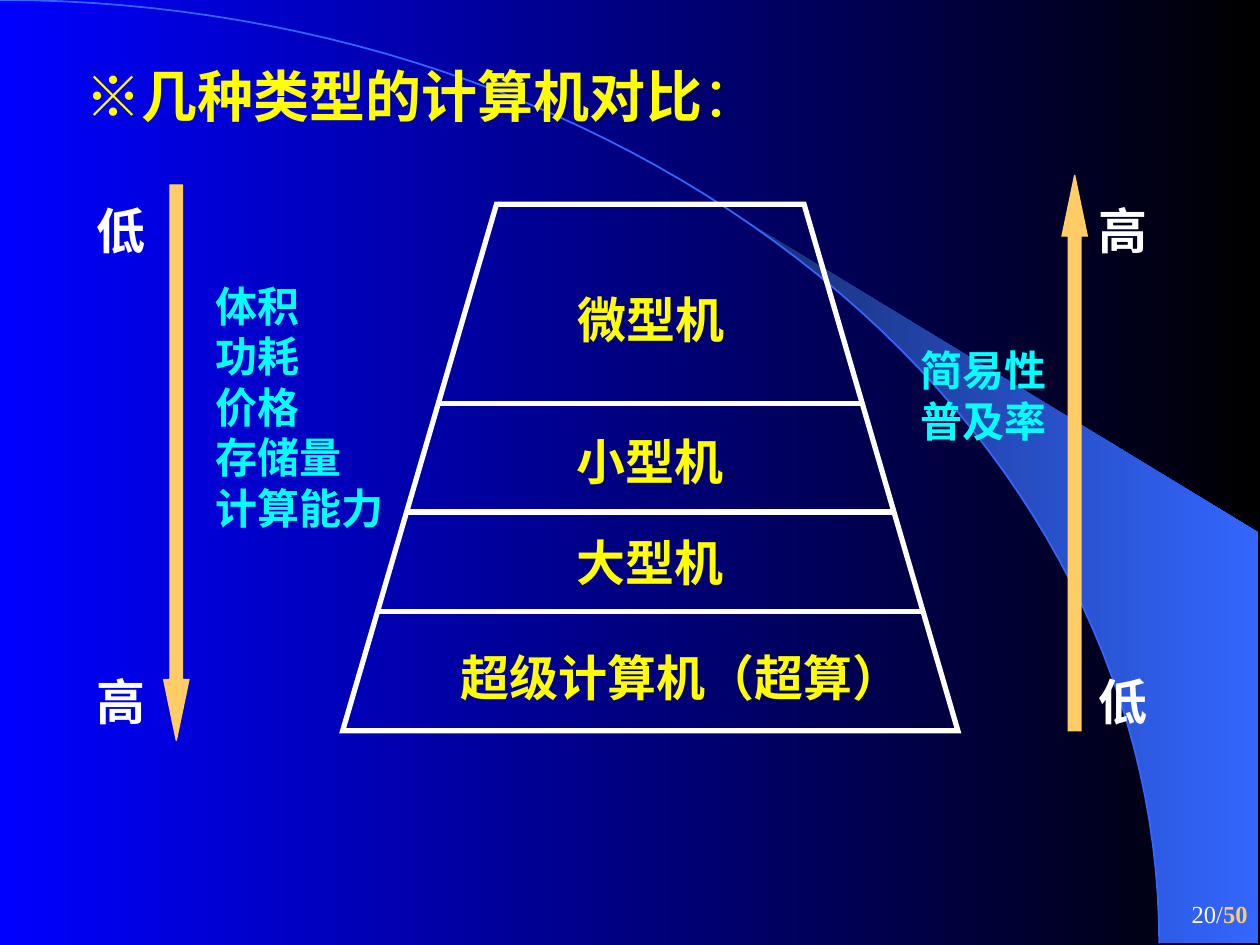
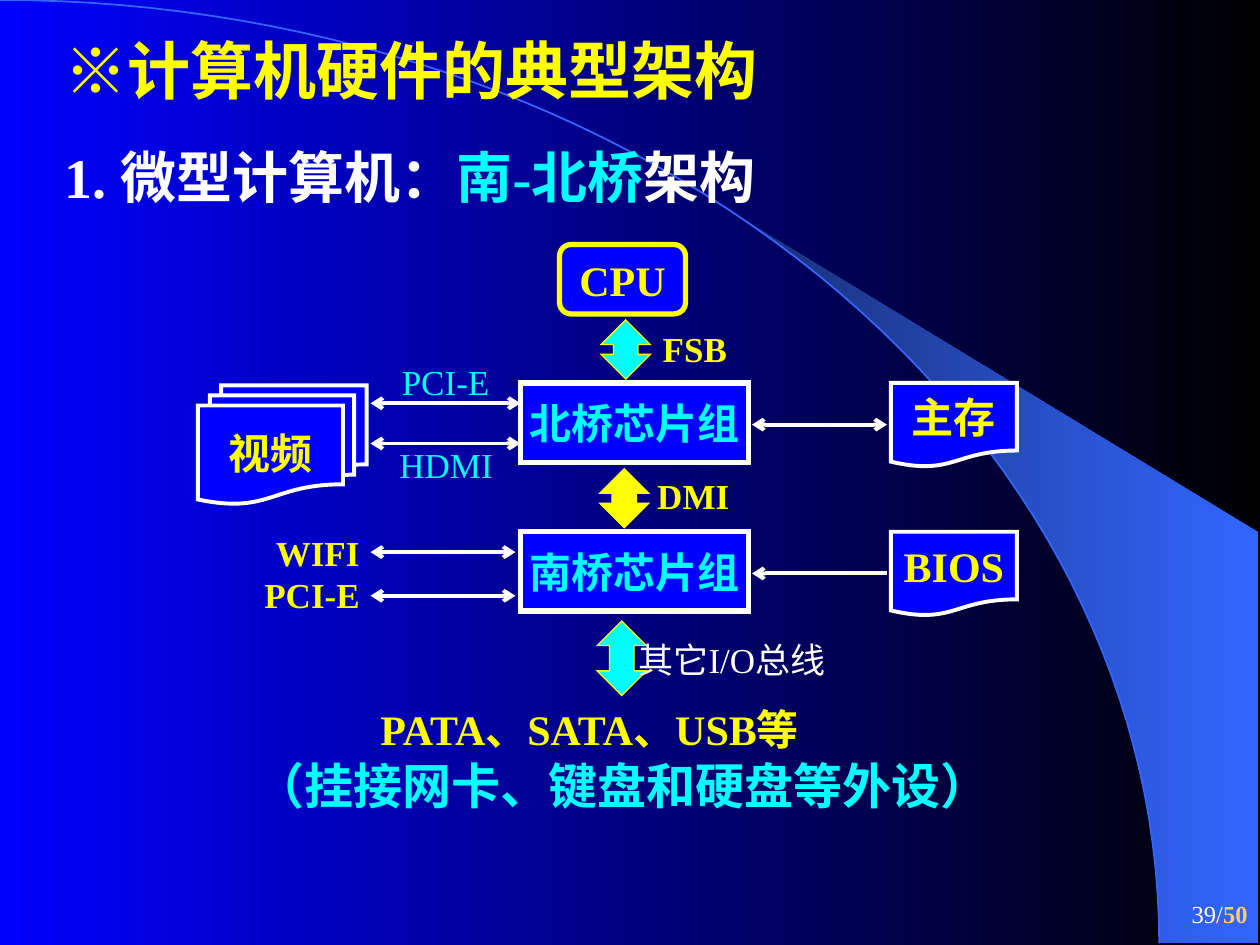
"""Build two slides on computer types and typical hardware architecture."""
from dataclasses import dataclass
from math import asin, cos, pi, sin

from lxml import etree
from pptx import Presentation
from pptx.dml.color import RGBColor
from pptx.enum.shapes import MSO_CONNECTOR, MSO_SHAPE
from pptx.enum.text import MSO_ANCHOR, MSO_AUTO_SIZE, PP_ALIGN
from pptx.oxml.ns import qn
from pptx.util import Cm, Pt

STRAIGHT = MSO_CONNECTOR.STRAIGHT
TRAPEZOID, RECT = MSO_SHAPE.TRAPEZOID, MSO_SHAPE.RECTANGLE
UP, DOWN, UP_DOWN = MSO_SHAPE.UP_ARROW, MSO_SHAPE.DOWN_ARROW, MSO_SHAPE.UP_DOWN_ARROW
ROUNDED = MSO_SHAPE.FLOWCHART_ALTERNATE_PROCESS
DOCUMENT, DOCUMENTS = MSO_SHAPE.FLOWCHART_DOCUMENT, MSO_SHAPE.FLOWCHART_MULTIDOCUMENT
LEFT, CENTER, RIGHT = PP_ALIGN.LEFT, PP_ALIGN.CENTER, PP_ALIGN.RIGHT
TOP, MIDDLE = MSO_ANCHOR.TOP, MSO_ANCHOR.MIDDLE
NO_FIT = MSO_AUTO_SIZE.NONE
TITLE_ONLY, TITLE_AND_BODY = 5, 1


@dataclass(frozen=True)
class Theme:
    """Colours, fonts and type sizes of the deck."""

    blue: str = "0000FF"
    black: str = "000000"
    band_dark: str = "182F76"
    band: str = "3366FF"
    white: str = "FFFFFF"
    yellow: str = "FFFF00"
    cyan: str = "00FFFF"
    orange: str = "FFCC66"
    latin: str = "Times New Roman"
    cjk: str = "Noto Sans CJK SC"
    headline: int = 36
    title: int = 32
    label: int = 28
    block: int = 24
    bus: int = 20
    footer: int = 14
    pitch: float = 1.2


T = Theme()
WIDTH, HEIGHT = 25.4, 19.05
ARC_W, ARC_H = 23.37, 19.02


def rgb(color):
    """Return a colour object for a hex string."""
    return RGBColor.from_string(color)


def set_all(obj, values):
    """Set each attribute named in a dict."""
    for name, value in values.items():
        setattr(obj, name, value)


def run(text, size, color, bold=True, font=T.latin):
    """Describe a run as its text, colour and font values."""
    return text, color, {"size": Pt(size), "bold": bold, "name": font}


def write(tf, paragraphs, align=LEFT, pitch=None):
    """Fill a text frame with paragraphs of described runs."""
    for i, runs in enumerate(paragraphs):
        p = tf.paragraphs[0] if i == 0 else tf.add_paragraph()
        pPr = p._p.get_or_add_pPr()
        set_all(pPr, {"marL": 0, "indent": 0})
        etree.SubElement(pPr, qn("a:buNone"))
        set_all(p, {"alignment": align, "space_before": Pt(0)})
        if pitch:
            p.line_spacing = Pt(round(runs[0][2]["size"].pt * pitch, 1))
        for text, color, values in runs:
            r = p.add_run()
            r.text = text
            set_all(r.font, values)
            r.font.color.rgb = rgb(color)
            etree.SubElement(r._r.get_or_add_rPr(), qn("a:ea"), typeface=T.cjk)


def add_text(slide, box, paragraphs, align=LEFT, pitch=None, anchor=TOP):
    """Add a text box at a box given in centimetres."""
    tf = slide.shapes.add_textbox(*map(Cm, box)).text_frame
    set_all(tf, {"word_wrap": True, "vertical_anchor": anchor})
    write(tf, paragraphs, align, pitch)


def fill_placeholder(sp, box, runs):
    """Move a placeholder and write one line into it."""
    set_all(sp, dict(zip(("left", "top", "width", "height"), map(Cm, box))))
    set_all(sp.text_frame, {"auto_size": NO_FIT, "vertical_anchor": TOP, "word_wrap": True})
    write(sp.text_frame, [runs], pitch=T.pitch)


def paint(sp, fill, line, width):
    """Give a shape its fill and a sharp-cornered line without a shadow."""
    sp.shadow.inherit = False
    if fill:
        sp.fill.solid()
        sp.fill.fore_color.rgb = rgb(fill)
    else:
        sp.fill.background()
    sp.line.color.rgb = rgb(line)
    sp.line.width = Pt(width)
    etree.SubElement(sp.line._get_or_add_ln(), qn("a:miter"), lim="800000")


def add_preset(slide, kind, box, fill, line, width, adjust=()):
    """Add a painted preset shape with its adjustments."""
    sp = slide.shapes.add_shape(kind, *map(Cm, box))
    for i, value in enumerate(adjust):
        sp.adjustments[i] = value
    paint(sp, fill, line, width)
    return sp


def add_block(slide, kind, box, text, color, line, width):
    """Add a blue diagram block with a centred label."""
    sp = add_preset(slide, kind, box, T.blue, line, width)
    set_all(sp.text_frame, {"word_wrap": False, "vertical_anchor": MIDDLE})
    write(sp.text_frame, [[run(text, T.block, color)]], CENTER)


def add_line(slide, x1, x2, y, width, ends=()):
    """Add a white horizontal line with open arrowheads at the named ends."""
    cxn = slide.shapes.add_connector(STRAIGHT, Cm(x1), Cm(y), Cm(x2), Cm(y))
    cxn.line.color.rgb = rgb(T.white)
    cxn.line.width = Pt(width)
    ln = cxn.line._get_or_add_ln()
    for end in ends:
        etree.SubElement(ln, qn(f"a:{end}"), type="arrow")
    etree.SubElement(cxn._element.spPr, qn("a:effectLst"))


def set_gradient(fill, start, end):
    """Make a left-to-right gradient of two colours."""
    fill.gradient()
    fill.gradient_angle = 0
    for stop, color in zip(fill.gradient_stops, (start, end)):
        stop.color.rgb = rgb(color)


def arc_points(start, steps):
    """Return points on the quarter ellipse from an angle to its lower end."""
    angles = [start + (pi / 2 - start) * i / steps for i in range(steps + 1)]
    return [(Cm(ARC_W * sin(a)), Cm(ARC_H * (1 - cos(a)))) for a in angles]


def add_outline(slide, points, close):
    """Add a freeform through the points."""
    builder = slide.shapes.build_freeform(*points[0])
    builder.add_line_segments(points[1:], close=close)
    return builder.convert_to_shape()


def decorate_master(prs, slide):
    """Put the gradient, the band and the arc on the slide master."""
    master = prs.slide_master
    set_gradient(master.background.fill, T.blue, T.black)
    corner = [(Cm(25.37), Cm(ARC_H)), (Cm(25.37), Cm(10.74))]
    band = add_outline(slide, arc_points(asin(0.64), 30) + corner, True)
    band.shadow.inherit = False
    set_gradient(band.fill, T.band_dark, T.band)
    band.line.fill.background()
    arc = add_outline(slide, arc_points(0, 60), False)
    paint(arc, None, T.band, 1)
    for i, sp in enumerate((band, arc)):
        sp.element.nvSpPr.cNvPr.set("id", str(100 + i))
        master.shapes.element.insert(2 + i, sp.element)


def add_page_number(slide, number):
    """Add the page number and the page total."""
    runs = [run(f"{number}/", T.footer, T.white, False), run("50", T.footer, T.orange)]
    add_text(slide, (20.12, 17.78, 5.28, 1.27), [runs], RIGHT, anchor=MIDDLE)


def add_pyramid(slide):
    """Draw the layered trapezoid of computer types."""
    left, top, width, height, inset = 6.91, 4.12, 12.4, 10.61, 3.1
    add_preset(slide, TRAPEZOID, (left, top, width, height), None, T.white, 3,
               [inset / height])
    for y in (8.13, 10.32, 12.32):
        gap = inset * (top + height - y) / height
        add_line(slide, left + gap, left + width - gap, y, 3)
    for x, y, w, name in ((11.4, 5.72, 4.5, "微型机"), (11.38, 8.57, 4.5, "小型机"),
                          (11.38, 10.62, 4.5, "大型机"),
                          (9.04, 12.92, 10.2, "超级计算机（超算）")):
        add_text(slide, (x, y, w, 1.45), [[run(name, T.label, T.yellow)]],
                 pitch=T.pitch)


def add_scale(slide, kind, arrow_x, arrow_y, label_x, labels):
    """Draw a long arrow with a label near each end."""
    add_preset(slide, kind, (arrow_x, arrow_y, 0.51, 11.2), T.orange, T.orange, 0.75,
               (0.5, 2.41))
    for y, label in zip((3.91, 13.41), labels):
        add_text(slide, (label_x, y, 2, 1.45), [[run(label, T.label, T.white)]],
                 pitch=T.pitch)


def add_traits(slide, box, traits):
    """List the traits that an arrow measures."""
    add_text(slide, box, [[run(trait, T.block, T.cyan)] for trait in traits],
             pitch=T.pitch)


def build_comparison(slide):
    """Build the slide that compares computer types."""
    fill_placeholder(slide.shapes.title, (1.47, 1.12, 21.41, 1.68), [
        run("※几种类型的", T.title, T.yellow, font=T.cjk),
        run("计算机对比", T.title, T.yellow), run("：", T.title, T.yellow, False)])
    add_pyramid(slide)
    add_scale(slide, DOWN, 3.3, 3.73, 1.7, "低高")
    add_scale(slide, UP, 21.41, 3.53, 21.9, "高低")
    add_traits(slide, (4.09, 5.53, 4.6, 5.33), ("体积", "功耗", "价格", "存储量", "计算能力"))
    add_traits(slide, (18.31, 6.83, 4.6, 2.29), ("简易性", "普及率"))
    add_page_number(slide, 20)


def build_architecture(slide):
    """Build the slide on the bridge architecture."""
    fill_placeholder(slide.shapes.title, (1.04, 0.51, 22.66, 1.9), [
        run("※", T.headline, T.yellow, font=T.cjk),
        run("计算机硬件的典型架构", T.headline, T.yellow)])
    fill_placeholder(slide.placeholders[1], (1.04, 2.75, 22.66, 1.7), [
        run("1. 微型计算机：", T.title, T.white), run("南-北桥", T.title, T.cyan),
        run("架构", T.title, T.white)])

    for kind, box, text, color, line, width in (
            (ROUNDED, (11.28, 4.93, 2.54, 1.4), "CPU", T.yellow, T.yellow, 3),
            (RECT, (10.49, 7.72, 4.6, 1.6), "北桥芯片组", T.cyan, T.white, 3),
            (RECT, (10.49, 10.72, 4.6, 1.6), "南桥芯片组", T.cyan, T.white, 3),
            (DOCUMENTS, (3.99, 7.77, 3.4, 2.39), "视频", T.yellow, T.white, 2.25),
            (DOCUMENT, (17.96, 7.72, 2.54, 1.7), "主存", T.yellow, T.white, 2.25),
            (DOCUMENT, (17.96, 10.72, 2.54, 1.7), "BIOS", T.yellow, T.white, 2.25)):
        add_block(slide, kind, box, text, color, line, width)

    both = ("headEnd", "tailEnd")
    for x1, x2, y, ends in (
            (7.47, 10.49, 8.13, both), (7.47, 10.49, 8.94, both),
            (7.47, 10.39, 11.13, both), (7.47, 10.39, 12.01, both),
            (15.16, 17.88, 8.56, both), (15.16, 17.88, 11.56, both[:1])):
        add_line(slide, x1, x2, y, 2.25, ends)

    for x, y, h, head, color in ((12.12, 6.45, 1.19, 0.24, T.cyan),
                                 (12.09, 9.45, 1.19, 0.24, T.yellow),
                                 (12.04, 12.52, 1.5, 0.3, T.cyan)):
        add_preset(slide, UP_DOWN, (x, y, 0.99, h), color, T.yellow, 0.75, (head, 0.5))

    for x, y, w, text, color, bold in (
            (13.11, 6.48, 2.5, "FSB", T.yellow, True),
            (13, 9.45, 2.6, "DMI", T.yellow, True),
            (7.85, 7.14, 3, "PCI-E", T.cyan, False),
            (7.8, 8.81, 3, "HDMI", T.cyan, False),
            (5.31, 10.59, 3, "WIFI", T.yellow, True),
            (5.08, 11.43, 3.2, "PCI-E", T.yellow, True)):
        add_text(slide, (x, y, w, 1.12), [[run(text, T.bus, color, bold)]])

    for box, text, size, color, bold in (
            ((12.62, 12.75, 6, 1.12), "其它I/O总线", T.bus, T.white, False),
            ((7.42, 14.05, 12, 1.27), "PATA、SATA、USB等", T.block, T.yellow, True),
            ((4.9, 15.11, 17, 1.45), "（挂接网卡、键盘和硬盘等外设）",
             T.label, T.cyan, True)):
        add_text(slide, box, [[run(text, size, color, bold)]], pitch=T.pitch)
    add_page_number(slide, 39)


def main():
    """Build and save the deck."""
    prs = Presentation()
    set_all(prs, {"slide_width": Cm(WIDTH), "slide_height": Cm(HEIGHT)})
    comparison, architecture = (prs.slides.add_slide(prs.slide_layouts[i])
                                for i in (TITLE_ONLY, TITLE_AND_BODY))
    decorate_master(prs, comparison)
    build_comparison(comparison)
    build_architecture(architecture)
    prs.save("out.pptx")


if __name__ == "__main__":
    main()
